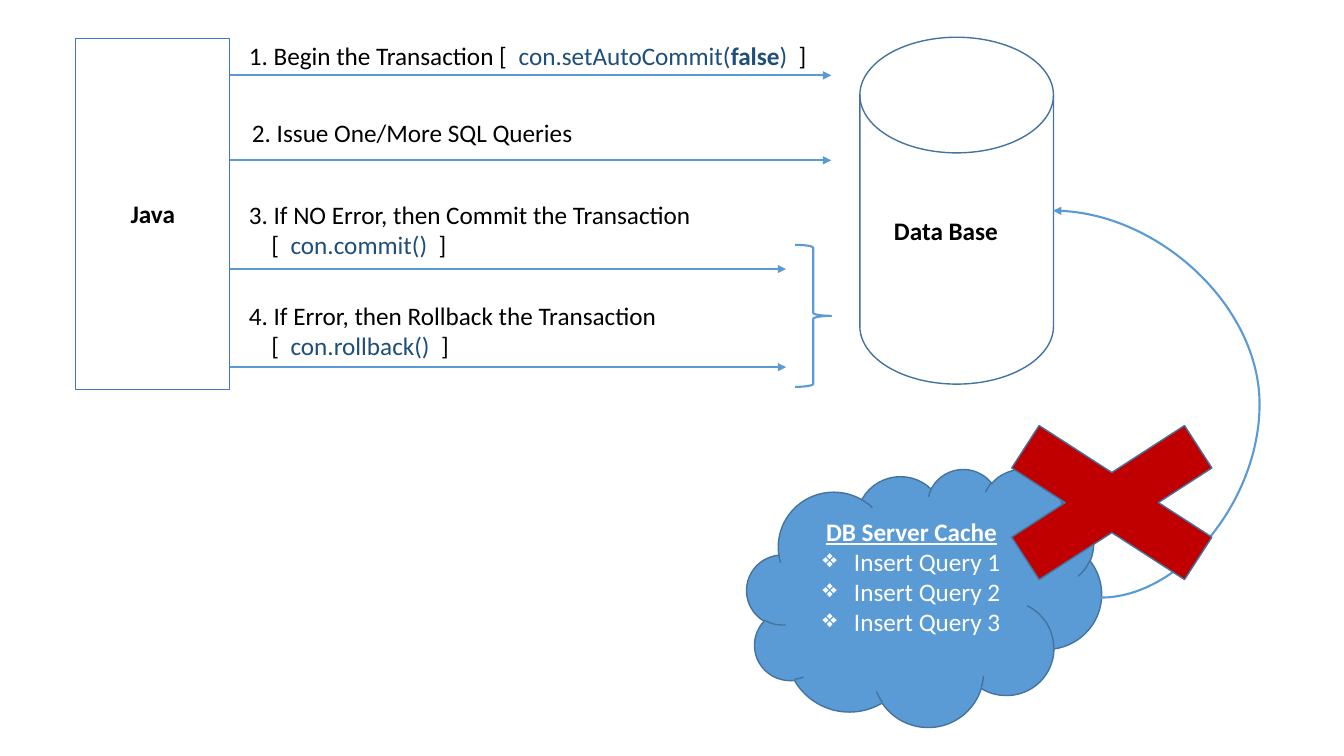
import lxml.etree
import pptx
import pptx.dml.color
import pptx.enum.shapes
import pptx.enum.text
import pptx.oxml.ns
import pptx.util

Cm = pptx.util.Cm
RGB = pptx.dml.color.RGBColor
KIND = pptx.enum.shapes.MSO_SHAPE
LINK = pptx.enum.shapes.MSO_CONNECTOR
ALIGN = pptx.enum.text.PP_ALIGN
ANCHOR = pptx.enum.text.MSO_ANCHOR
BLACK = RGB(0, 0, 0)
WHITE = RGB(255, 255, 255)
BLUE = RGB(0x5B, 0x9B, 0xD5)
EDGE = RGB(0x43, 0x73, 0x9E)
FRAME = RGB(0x44, 0x72, 0xC4)
NAVY = RGB(0x1F, 0x4E, 0x79)
RED = RGB(0xC0, 0, 0)
BASE = {"name": "Calibri", "size": pptx.util.Pt(18), "bold": False}
BOLD = {"bold": True}

STEPS = [
    (0.23, 0, 1.01, 15.16, [[("1. Begin the Transaction [  ", BLACK, {}),
                             ("con.setAutoCommit(", NAVY, {}), ("false", NAVY, BOLD),
                             (")", NAVY, {}), ("  ]", BLACK, {})]]),
    (0.31, 1.95, 3.15, 15.16, [[("2. Issue One/More SQL Queries ", BLACK, {})]]),
    (0.23, 4.01, 5.89, 14.02, [[("3. If NO Error, then Commit the Transaction ", BLACK, {})],
                               [("[  ", BLACK, {}), ("con.commit()", NAVY, {}),
                                ("  ]", BLACK, {})]]),
    (0.23, 6.55, 8.36, 14.02, [[("4. If Error, then Rollback the Transaction ", BLACK, {})],
                               [("[  ", BLACK, {}), ("con.rollback()", NAVY, {}),
                                ("  ]", BLACK, {})]]),
]


def add_node(owner, tag, **attrs):
    """Append a DrawingML element."""
    return lxml.etree.SubElement(owner, pptx.oxml.ns.qn(tag), attrs)


def add_run(para, text, color, style):
    """Add one styled run of text."""
    run = para.add_run()
    run.text = text
    for name, value in {**BASE, **style}.items():
        setattr(run.font, name, value)
    run.font.color.rgb = color


def add_form(slide, kind, box, fill, edge, width=1):
    """Add a preset shape with its fill and outline."""
    form = slide.shapes.add_shape(kind, *map(Cm, box))
    form.shadow.inherit = False
    if fill is None:
        form.fill.background()
    else:
        form.fill.solid()
        form.fill.fore_color.rgb = fill
    form.line.color.rgb = edge
    form.line.width = pptx.util.Pt(width)
    return form


def add_arrow(slide, kind, *ends):
    """Add a blue connector with a triangle at its end."""
    arrow = slide.shapes.add_connector(kind, *map(Cm, ends))
    arrow.line.color.rgb = BLUE
    arrow.line.width = pptx.util.Pt(1.5)
    add_node(arrow.line._get_or_add_ln(), "a:tailEnd", type="triangle")
    add_node(arrow._element.spPr, "a:effectLst")
    return arrow


def add_text(slide, box, rows):
    """Add a text box with later rows indented."""
    frame = slide.shapes.add_textbox(*map(Cm, box)).text_frame
    frame.word_wrap = True
    for row, parts in enumerate(rows):
        para = frame.add_paragraph() if row else frame.paragraphs[0]
        if row:
            para._p.get_or_add_pPr().set("marL", str(Cm(0.57)))
        for part in parts:
            add_run(para, *part)


def draw_java(slide, box):
    """Draw the Java client."""
    frame = add_form(slide, KIND.RECTANGLE, box, WHITE, FRAME).text_frame
    frame.vertical_anchor = ANCHOR.MIDDLE
    frame.paragraphs[0].alignment = ALIGN.CENTER
    add_run(frame.paragraphs[0], "Java", BLACK, BOLD)


def draw_base(slide, box):
    """Draw the data base disk and its label."""
    left, top, width, height = box
    add_form(slide, KIND.FLOWCHART_MAGNETIC_DISK, box, None, EDGE)
    label = (left + 0.61, top + height / 2, 3.63, 1.02)
    add_text(slide, label, [[("Data Base", BLACK, BOLD)]])


def draw_steps(slide, box):
    """Draw the four steps, their arrows and the brace."""
    left, top, width, height = box
    for shift, drop, rule, reach, rows in STEPS:
        add_arrow(slide, LINK.STRAIGHT, left, top + rule, left + reach, top + rule)
        size = 1.02 if len(rows) == 1 else 1.8
        add_text(slide, (left + shift, top + drop, 15.47, size), rows)
    brace = (left + width - 0.91, top + height - 3.58, 0.91, 3.58)
    add_form(slide, KIND.RIGHT_BRACE, brace, None, BLUE, 1.5)


def draw_cache(slide, box):
    """Draw the cache cloud, its blocked path and the cross."""
    left, top, width, height = box
    frame = add_form(slide, KIND.CLOUD, box, BLUE, EDGE).text_frame
    frame.vertical_anchor = ANCHOR.MIDDLE
    frame.margin_bottom = Cm(0.89)
    head = frame.paragraphs[0]
    head.alignment = ALIGN.CENTER
    add_run(head, "DB Server Cache", WHITE, {"bold": True, "underline": True})
    for count in range(1, 4):
        para = frame.add_paragraph()
        para.alignment = ALIGN.CENTER
        props = para._p.get_or_add_pPr()
        props.set("marL", str(Cm(0.79)))
        props.set("indent", str(-Cm(0.79)))
        add_node(props, "a:buChar", char="❖")
        add_run(para, f"Insert Query {count}", WHITE, {})
    curve = add_arrow(slide, LINK.CURVE, left + width - 0.02, top + height / 2,
                      left + 7.72, top - 6.5)
    shape = curve._element.spPr.find(pptx.oxml.ns.qn("a:prstGeom"))
    guides = shape.find(pptx.oxml.ns.qn("a:avLst"))
    add_node(guides, "a:gd", name="adj1", fmla="val -333700")
    add_form(slide, KIND.MATH_MULTIPLY, (left + 5.01, top - 1.85, 8.38, 5.41), RED, EDGE)


def main():
    """Build and save the slide."""
    deck = pptx.Presentation()
    deck.slide_width, deck.slide_height = Cm(33.87), Cm(19.05)
    slide = deck.slides.add_slide(deck.slide_layouts[6])
    draw_java(slide, (1.91, 0.97, 3.88, 8.84))
    draw_base(slide, (21.67, 0.94, 4.88, 8.74))
    draw_steps(slide, (5.79, 0.89, 15.16, 8.86))
    draw_cache(slide, (18.82, 11.81, 8.94, 6.5))
    deck.save("out.pptx")


main()
